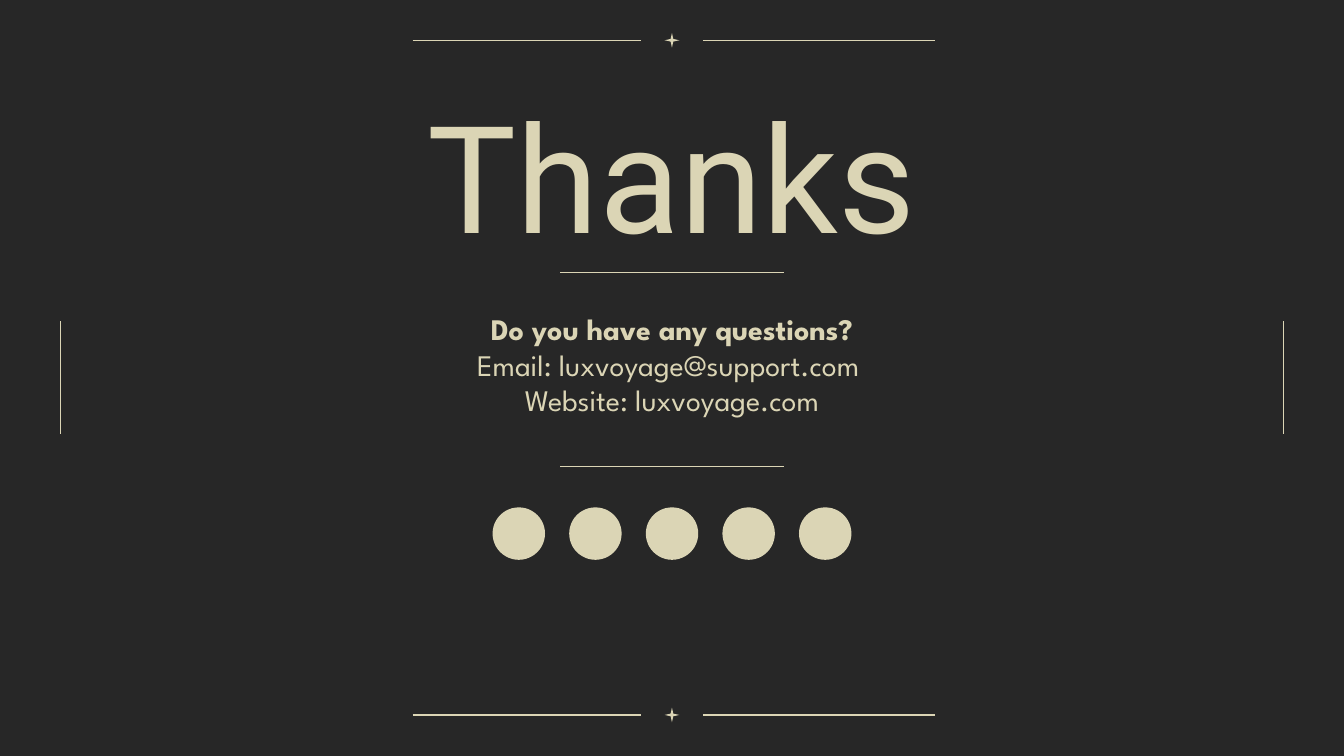
from lxml import etree
from pptx import Presentation
from pptx.dml.color import RGBColor
from pptx.enum.shapes import MSO_CONNECTOR, MSO_SHAPE
from pptx.enum.text import MSO_ANCHOR, MSO_AUTO_SIZE, PP_ALIGN
from pptx.oxml.ns import qn
from pptx.util import Inches, Pt

STRAIGHT = MSO_CONNECTOR.STRAIGHT
OVAL = MSO_SHAPE.OVAL
STAR = MSO_SHAPE.STAR_4_POINT
CENTER = PP_ALIGN.CENTER
MIDDLE = MSO_ANCHOR.MIDDLE
NO_AUTOFIT = MSO_AUTO_SIZE.NONE

CHARCOAL = RGBColor(0x27, 0x27, 0x27)
CREAM = RGBColor(0xDB, 0xD5, 0xB5)

WIDTH = 10
HEIGHT = WIDTH * 9 / 16
MIDDLE_X = WIDTH / 2


def add_rule(slide, x1, y1, x2, y2):
    rule = slide.shapes.add_connector(
        STRAIGHT, Inches(x1), Inches(y1), Inches(x2), Inches(y2))
    rule.line.color.rgb = CREAM
    rule.line.width = Pt(0.75)
    etree.SubElement(rule._element.spPr, qn("a:effectLst"))


def add_mark(slide, kind, center_x, center_y, size):
    mark = slide.shapes.add_shape(
        kind, Inches(center_x - size / 2), Inches(center_y - size / 2),
        Inches(size), Inches(size))
    mark.shadow.inherit = False
    mark.fill.solid()
    mark.fill.fore_color.rgb = CREAM
    mark.line.fill.background()
    return mark


def add_star_divider(slide, y):
    add_rule(slide, 3.07, y, 4.77, y)
    add_rule(slide, 5.23, y, 6.96, y)
    star = add_mark(slide, STAR, MIDDLE_X, y, 0.11)
    star.adjustments[0] = 0.125


def place(placeholder, left, top, width, height):
    placeholder.left, placeholder.top = Inches(left), Inches(top)
    placeholder.width, placeholder.height = Inches(width), Inches(height)
    frame = placeholder.text_frame
    frame.word_wrap = True
    frame.auto_size = NO_AUTOFIT
    frame.vertical_anchor = MIDDLE
    frame.margin_left = frame.margin_right = Inches(0.1)
    frame.margin_top = frame.margin_bottom = Inches(0.1)
    return frame


def write(paragraph, text, size, font, bold=False):
    paragraph.alignment = CENTER
    paragraph.space_before = Pt(0)
    paragraph.line_spacing = 1.0
    run = paragraph.add_run()
    run.text = text
    run.font.size = Pt(size)
    run.font.name = font
    run.font.bold = bold
    run.font.color.rgb = CREAM


def main():
    prs = Presentation()
    prs.slide_width, prs.slide_height = Inches(WIDTH), Inches(HEIGHT)
    slide = prs.slides.add_slide(prs.slide_layouts[0])
    slide.background.fill.solid()
    slide.background.fill.fore_color.rgb = CHARCOAL

    # Frame: side rules, then star dividers at top and bottom
    for x in (0.45, WIDTH - 0.45):
        add_rule(slide, x, 2.39, x, 3.23)
    for y in (0.3, 5.32):
        add_star_divider(slide, y)

    # Title
    thanks = place(slide.shapes.title, 1.98, 0.75, 6.04, 1.09)
    write(thanks.paragraphs[0], "Thanks", size=80, font="Roboto")

    # Contact details
    contact = place(slide.placeholders[1], 3.33, 2.16, 3.34, 1.1)
    details = ("Do you have any questions?",
               "Email: luxvoyage@support.com ",
               "Website: luxvoyage.com")
    for i, detail in enumerate(details):
        paragraph = contact.add_paragraph() if i else contact.paragraphs[0]
        write(paragraph, detail, size=16, font="League Spartan", bold=i == 0)

    # Rules above and below the contact details
    for y in (2.03, 3.47):
        add_rule(slide, 4.17, y, 5.83, y)

    # Row of plain social badges
    for step in range(-2, 3):
        add_mark(slide, OVAL, MIDDLE_X + step * 0.57, 3.97, 0.39)

    prs.save("out.pptx")


if __name__ == "__main__":
    main()
